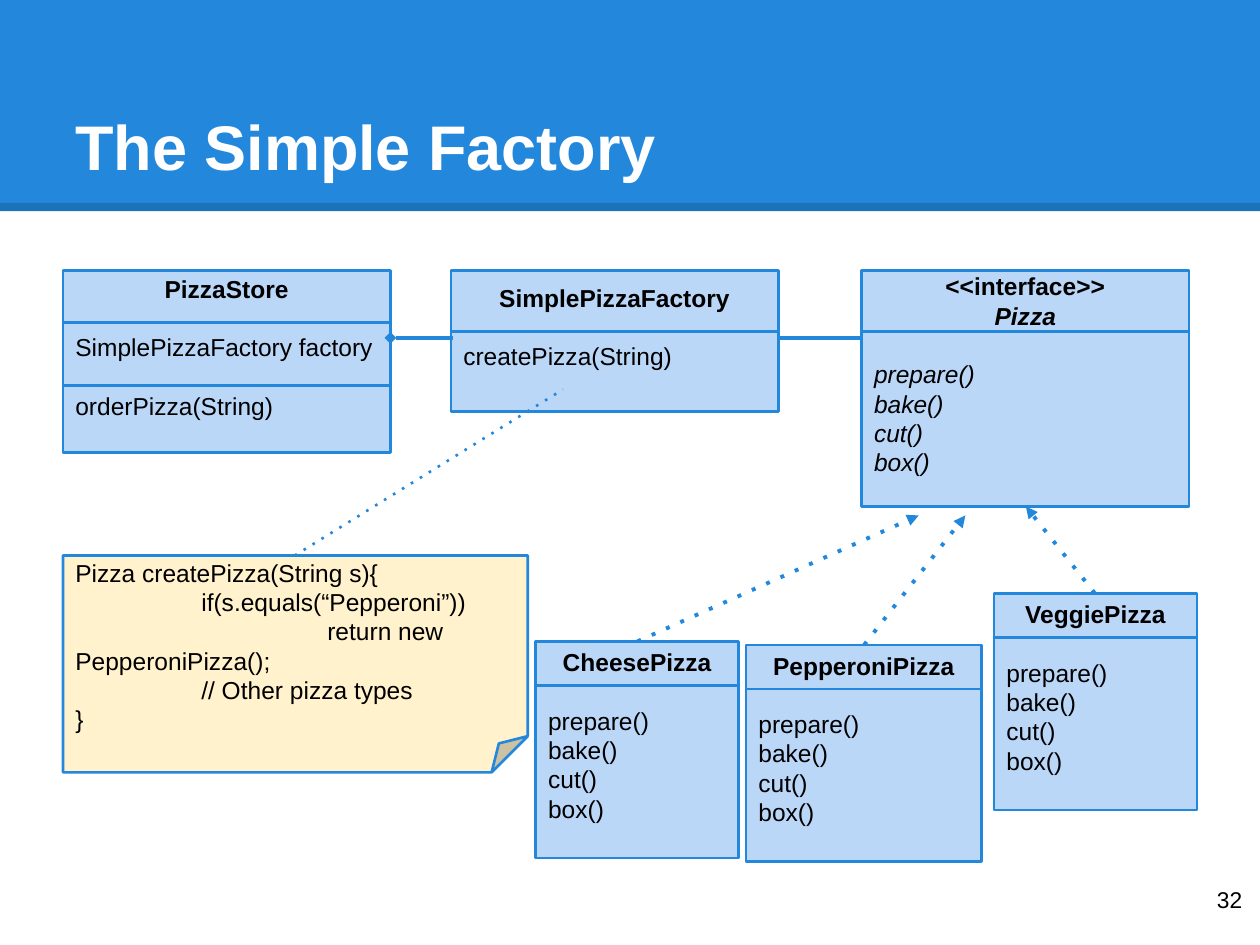
from lxml import etree
from pptx import Presentation
from pptx import util as u
from pptx.dml import color
from pptx.enum import shapes, text
from pptx.oxml import ns

BLUE = color.RGBColor(0x23, 0x88, 0xDB)
PALE = color.RGBColor(0xBB, 0xD7, 0xF8)
CREAM = color.RGBColor(0xFF, 0xF2, 0xCC)
BLACK = color.RGBColor(0, 0, 0)
WHITE = color.RGBColor(255, 255, 255)
LINE = u.Pt(16.75)
INSET = u.Cm(0.25)


def add_text(tf, content, size=14, rgb=BLACK, bold=False, italic=False):
    p = tf.paragraphs[0]
    if p.runs:
        p = tf.add_paragraph()
    p.alignment = text.PP_ALIGN.LEFT
    r = p.add_run()
    r.text = content
    r.font.name = "Arial"
    r.font.size = u.Pt(size)
    r.font.bold = bold
    r.font.italic = italic
    r.font.color.rgb = rgb
    return p


def add_line(x1, y1, x2, y2, width=1.5, dash=None, head=None, tail=None, rgb=BLUE):
    cn = s.shapes.add_connector(shapes.MSO_CONNECTOR.STRAIGHT,
                                u.Cm(x1), u.Cm(y1), u.Cm(x2), u.Cm(y2))
    cn.line.width = u.Pt(width)
    cn.line.color.rgb = rgb
    ln = cn.line._get_or_add_ln()
    if dash:
        etree.SubElement(ln, ns.qn("a:prstDash"), val=dash)
    for tag, kind in (("a:headEnd", head), ("a:tailEnd", tail)):
        if kind:
            etree.SubElement(ln, ns.qn(tag), type=kind)
    etree.SubElement(cn._element.spPr, ns.qn("a:effectLst"))
    return cn


prs = Presentation()
prs.slide_width, prs.slide_height = u.Cm(25.4), u.Cm(19.05)
s = prs.slides.add_slide(prs.slide_layouts[6])

band = s.shapes.add_shape(shapes.MSO_SHAPE.RECTANGLE, 0, 0, prs.slide_width, u.Cm(4.26))
band.shadow.inherit = False
band.fill.solid()
band.fill.fore_color.rgb = BLUE
band.line.fill.background()
edge = add_line(0, 4.17, 25.4, 4.17, 4.5, rgb=BLACK)
rgb_node = edge.line._get_or_add_ln().find(".//" + ns.qn("a:srgbClr"))
etree.SubElement(rgb_node, ns.qn("a:alpha"), val="15000")

labels = [
    ("The Simple Factory", 1.27, 0.76, 22.86, 3.18, 36, WHITE, True,
     text.MSO_ANCHOR.BOTTOM, text.PP_ALIGN.LEFT),
    ("32", 23.77, 17.6, 1.52, 1.45, 13, BLACK, False,
     text.MSO_ANCHOR.TOP, text.PP_ALIGN.RIGHT),
]
for content, x, y, w, h, size, rgb, bold, anchor, align in labels:
    tf = s.shapes.add_textbox(u.Cm(x), u.Cm(y), u.Cm(w), u.Cm(h)).text_frame
    tf.word_wrap = True
    tf.vertical_anchor = anchor
    tf.margin_left = tf.margin_right = tf.margin_top = tf.margin_bottom = INSET
    add_text(tf, content, size, rgb, bold).alignment = align

METHODS = ["prepare()", "bake()", "cut()", "box()"]
classes = [
    (["PizzaStore"], [["SimplePizzaFactory factory"], ["orderPizza(String)"]],
     1.27, 5.46, 6.6, 3.66, [1.04, 2.31]),
    (["SimplePizzaFactory"], [["createPizza(String)"]], 9.09, 5.46, 6.6, 2.84, [1.22]),
    (["<<interface>>", "Pizza"], [METHODS], 17.37, 5.46, 6.6, 4.75, [1.22]),
    (["CheesePizza"], [METHODS], 10.8, 12.93, 4.09, 4.37, [0.89]),
    (["PepperoniPizza"], [METHODS], 15.04, 13, 4.75, 4.37, [0.89]),
    (["VeggiePizza"], [METHODS], 20.04, 11.96, 4.09, 4.37, [0.89]),
]
for heads, sections, x, y, w, h, dividers in classes:
    sp = s.shapes.add_shape(shapes.MSO_SHAPE.RECTANGLE, u.Cm(x), u.Cm(y), u.Cm(w), u.Cm(h))
    sp.shadow.inherit = False
    sp.fill.solid()
    sp.fill.fore_color.rgb = PALE
    sp.line.color.rgb = BLUE
    sp.line.width = u.Pt(1.5)
    tf = sp.text_frame
    tf.word_wrap = True
    tf.vertical_anchor = text.MSO_ANCHOR.MIDDLE
    tf.margin_left = tf.margin_right = INSET
    tf.margin_top, tf.margin_bottom = 0, LINE
    interface = len(heads) > 1
    for i, name in enumerate(heads):
        p = add_text(tf, name, bold=True, italic=i > 0)
        p.alignment = text.PP_ALIGN.CENTER
        p.line_spacing = LINE
    for section in sections:
        for i, member in enumerate(section):
            p = add_text(tf, member, italic=interface)
            p.line_spacing = LINE
            if i == 0:
                p.space_before = LINE
    for dy in dividers:
        add_line(x, y + dy, x + w, y + dy)

add_line(7.87, 6.81, 9.14, 6.81, 2.25, head="diamond")
add_line(15.7, 6.81, 17.4, 6.81, 2.25)
for ends in [(12.85, 12.93, 18.52, 10.39),
             (17.42, 13, 19.46, 10.39),
             (22.07, 11.96, 20.68, 10.21)]:
    add_line(*ends, 2.25, dash="dot", tail="triangle")

note = s.shapes.add_shape(shapes.MSO_SHAPE.FOLDED_CORNER,
                          u.Cm(1.27), u.Cm(11.2), u.Cm(9.37), u.Cm(4.37))
note.shadow.inherit = False
note.fill.solid()
note.fill.fore_color.rgb = CREAM
note.line.color.rgb = BLUE
note.line.width = u.Pt(1.5)
tf = note.text_frame
tf.word_wrap = True
tf.vertical_anchor = text.MSO_ANCHOR.MIDDLE
tf.margin_left = tf.margin_right = INSET
tf.margin_top = tf.margin_bottom = 0
code = [(0, "Pizza createPizza(String s){"), (1, "if(s.equals(“Pepperoni”))"),
        (2, "return new PepperoniPizza();"), (1, "// Other pizza types"), (0, "}")]
for depth, content in code:
    p = add_text(tf, content)
    p.line_spacing = LINE
    pPr = p._p.get_or_add_pPr()
    pPr.set("marL", "0")
    pPr.set("indent", str(int(u.Cm(2.54 * depth))))

add_line(5.94, 11.2, 11.35, 7.85, dash="dot")

prs.save("out.pptx")
